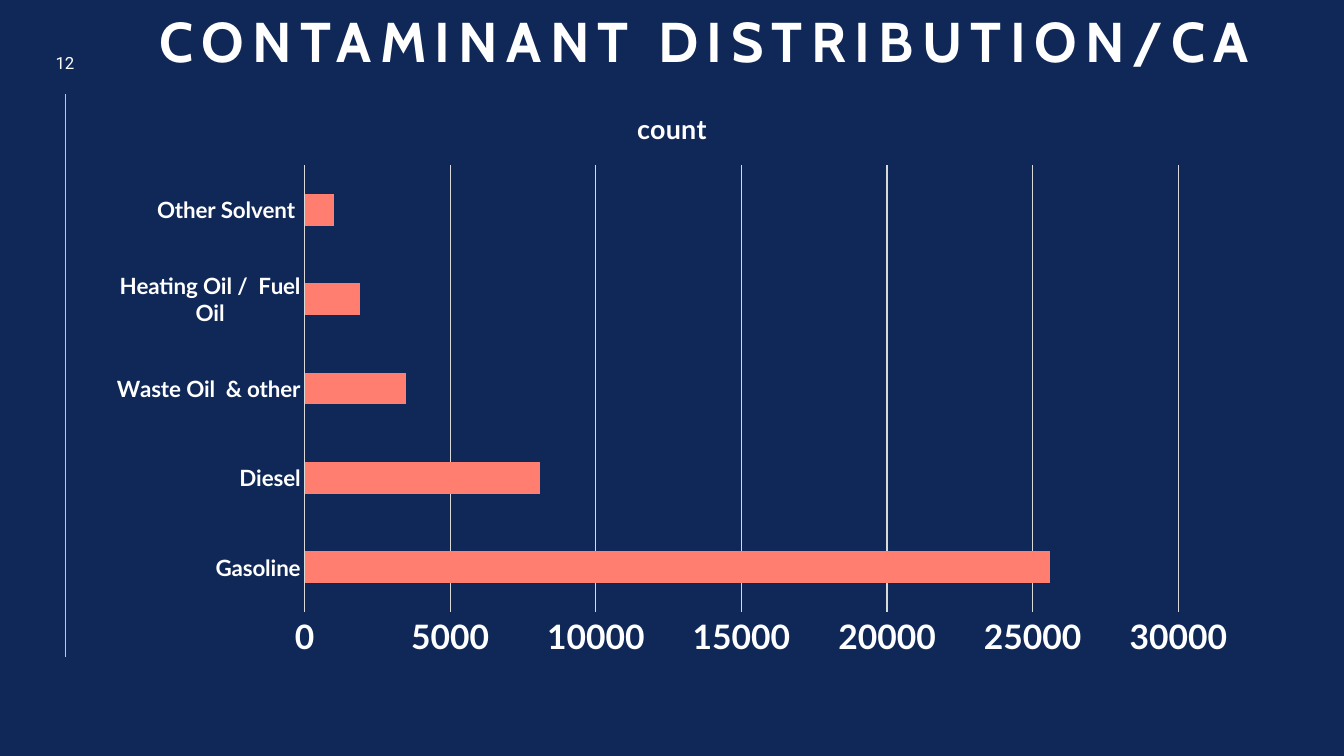
import pptx
import pptx.chart.data
import pptx.dml.color
import pptx.enum.chart
import pptx.enum.shapes
import pptx.enum.text
import pptx.oxml
import pptx.util

Pt = pptx.util.Pt
WHITE = "FFFFFF"
GRID = "D9D9D9"
COUNTS = {
    "Gasoline": 25600,
    "Diesel": 8100,
    "Waste Oil  & other": 3500,
    "Heating Oil /  Fuel Oil": 1900,
    "Other Solvent ": 1000,
}


def rgb(value):
    """Return the colour for a hex string."""
    return pptx.dml.color.RGBColor.from_string(value)


def set_font(font, color=WHITE, **formats):
    """Apply a colour and format values to a font."""
    for key, value in formats.items():
        setattr(font, key, value)
    font.color.rgb = rgb(color)


def set_line(line, color, width):
    """Give a line its colour and width."""
    line.color.rgb = rgb(color)
    line.width = Pt(width)


def add_text(s, text, box, anchor, spacing=0, after=0, **formats):
    """Add a centred one-line text box."""
    tf = s.shapes.add_textbox(*map(Pt, box)).text_frame
    tf.word_wrap = True
    tf.vertical_anchor = anchor
    p = tf.paragraphs[0]
    p.alignment = pptx.enum.text.PP_ALIGN.CENTER
    p.space_after = Pt(after)
    r = p.add_run()
    r.text = text
    set_font(r.font, **formats)
    if spacing:
        r.font._element.set("spc", str(spacing * 100))


def add_rule(s, x, top, bottom):
    """Add a thin vertical rule."""
    kind = pptx.enum.shapes.MSO_CONNECTOR.STRAIGHT
    line = s.shapes.add_connector(kind, Pt(x), Pt(top), Pt(x), Pt(bottom))
    set_line(line.line, "F6A6F4", 0.5)
    sp_pr = line._element.spPr
    sp_pr.append(pptx.oxml.xmlchemy.OxmlElement("a:effectLst"))


def style_axis(axis, size):
    """Style the labels of an axis and remove its tick marks."""
    none = pptx.enum.chart.XL_TICK_MARK.NONE
    for key in ("major_tick_mark", "minor_tick_mark"):
        setattr(axis, key, none)
    set_font(axis.tick_labels.font, size=Pt(size), name="Lato", bold=True)


def add_bar_chart(s, box, title, counts):
    """Add a horizontal bar chart with one series."""
    data = pptx.chart.data.CategoryChartData()
    data.categories = counts.keys()
    data.add_series(title, counts.values())
    kind = pptx.enum.chart.XL_CHART_TYPE.BAR_CLUSTERED
    chart = s.shapes.add_chart(kind, *map(Pt, box), data).chart
    set_font(chart.font, size=Pt(16), name="Lato", bold=True)
    chart.has_legend = False
    chart.has_title = True
    p = chart.chart_title.text_frame.paragraphs[0]
    r = p.add_run()
    r.text = title
    set_font(r.font, size=Pt(19.2), name="Lato", bold=True)

    plot = chart.plots[0]
    plot.gap_width = 182
    plot.vary_by_categories = False
    fill = plot.series[0].format.fill
    fill.solid()
    fill.fore_color.rgb = rgb("FF7E70")

    style_axis(chart.category_axis, 16)
    set_line(chart.category_axis.format.line, GRID, 0.75)
    values = chart.value_axis
    style_axis(values, 24)
    for key, value in {"minimum_scale": 0, "maximum_scale": 30000, "major_unit": 5000}.items():
        setattr(values, key, value)
    values.format.line.fill.background()
    set_line(values.major_gridlines.format.line, GRID, 0.75)


def main():
    """Build and save the slide."""
    prs = pptx.Presentation()
    prs.slide_width, prs.slide_height = Pt(960), Pt(540)
    s = prs.slides.add_slide(prs.slide_layouts[6])
    s.background.fill.solid()
    s.background.fill.fore_color.rgb = rgb("102857")
    anchors = pptx.enum.text.MSO_ANCHOR

    add_rule(s, 47, 67, 469.5)
    add_text(s, "12", (26, 32.5, 41, 24.5), anchors.MIDDLE, after=6, size=Pt(12), name="Roboto")
    add_bar_chart(s, (67, 62, 826, 415.5), "count", COUNTS)
    add_text(s, "CONTAMINANT DISTRIBUTION/CA", (75, -7, 857, 63), anchors.BOTTOM,
             spacing=6, size=Pt(40), name="Cabin", bold=True)
    prs.save("out.pptx")


if __name__ == "__main__":
    main()
